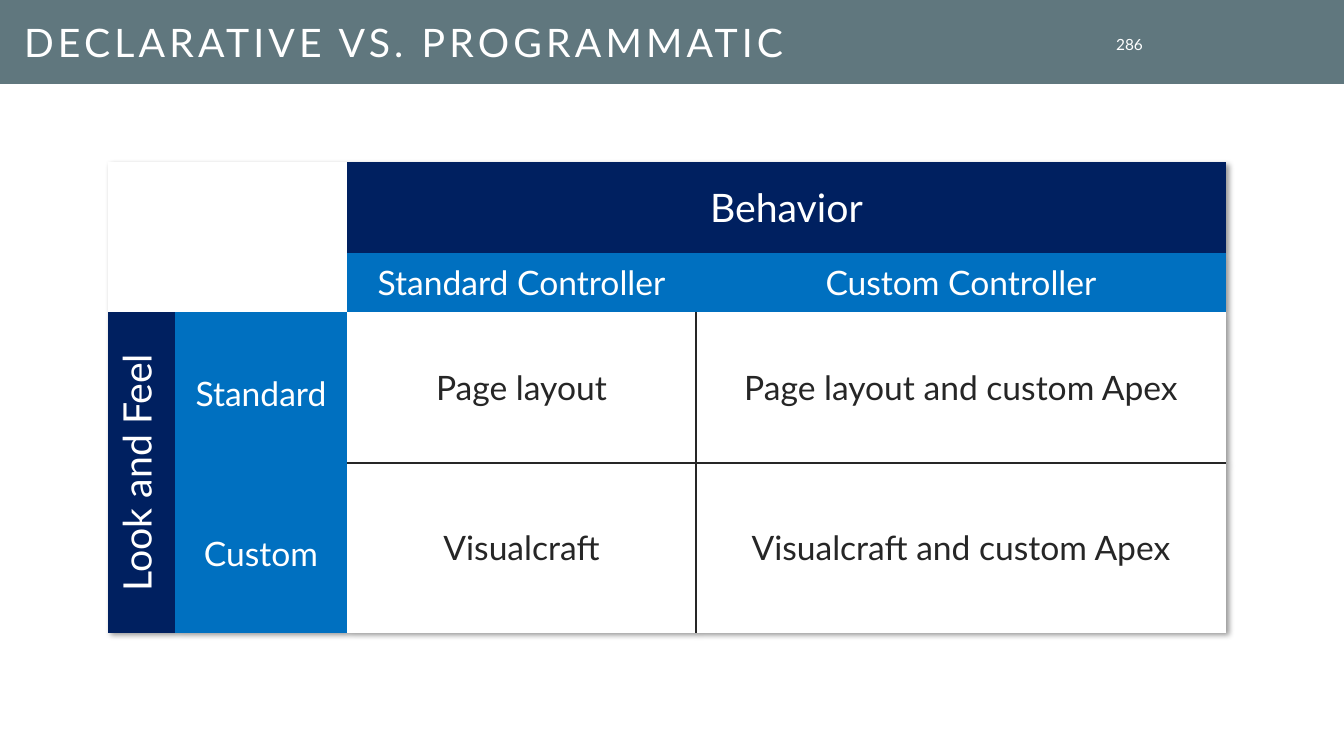
from lxml import etree
from pptx import Presentation
from pptx import util as u
from pptx.dml.color import RGBColor
from pptx.enum import shapes, text
from pptx.oxml import parse_xml
from pptx.oxml.ns import nsdecls, qn

PX = 914400 / 100.8
WHITE = RGBColor(0xFF, 0xFF, 0xFF)
SLATE = RGBColor(0x60, 0x77, 0x7E)
NAVY = RGBColor(0x00, 0x20, 0x60)
BLUE = RGBColor(0x00, 0x70, 0xC0)
INK = RGBColor(0x26, 0x26, 0x26)
NO_STYLE = "{2D5ABB26-0587-4C30-8999-92F81FD0307C}"


def px(*lengths):
    return [u.Emu(round(n * PX)) for n in lengths]


def format_text(p, size, color, align):
    p.alignment = align
    for r in p.runs:
        r.font.name = "Lato"
        r.font.size = u.Pt(size)
        r.font.color.rgb = color


prs = Presentation()
prs.slide_width, prs.slide_height = px(1344, 756)
s = prs.slides.add_slide(prs.slide_layouts[6])

banner = s.shapes.add_shape(shapes.MSO_SHAPE.RECTANGLE, *px(0, 0, 1344, 84))
banner.shadow.inherit = False
banner.fill.solid()
banner.fill.fore_color.rgb = SLATE
banner.line.fill.background()

LABELS = [
    ("DECLARATIVE VS. PROGRAMMATIC", (14, 0, 1086, 83), (15, 5), 28, text.PP_ALIGN.LEFT),
    ("286", (1100, 33, 53, 22), (0, 0), 11, text.PP_ALIGN.RIGHT),
]
for words, box, insets, size, align in LABELS:
    tf = s.shapes.add_textbox(*px(*box)).text_frame
    tf.word_wrap = True
    tf.vertical_anchor = text.MSO_ANCHOR.MIDDLE
    tf.margin_left, tf.margin_right = px(10, 10)
    tf.margin_top, tf.margin_bottom = px(*insets)
    tf.text = words
    p = tf.paragraphs[0]
    format_text(p, size, WHITE, align)
    if size == 28:
        p.line_spacing = 0.8
        p.runs[0].font._element.set("spc", "300")

COLS = [67, 172, 349, 530]
ROWS = [91, 59, 151, 12, 158]
table = s.shapes.add_table(5, 4, *px(108, 162, sum(COLS), sum(ROWS))).table
table.first_row = table.horz_banding = False
for column, width in zip(table.columns, px(*COLS)):
    column.width = width
for row, height in zip(table.rows, px(*ROWS)):
    row.height = height

tbl_pr = table._tbl.tblPr
tbl_pr.find(qn("a:tableStyleId")).text = NO_STYLE
tbl_pr.insert(0, parse_xml(
    f'<a:effectLst {nsdecls("a")}><a:outerShdw blurRad="50800" dist="38100" dir="2700000" '
    'algn="tl" rotWithShape="0"><a:srgbClr val="000000"><a:alpha val="40000"/></a:srgbClr>'
    '</a:outerShdw></a:effectLst>'))

for cell in table.iter_cells():
    cell.margin_left = cell.margin_right = cell.margin_top = cell.margin_bottom = 0
    cell.text_frame.paragraphs[0].font.size = u.Pt(1)

CELLS = [
    (0, 0, 2, 2, "", WHITE, 28),
    (0, 2, 1, 2, "Behavior", NAVY, 28),
    (1, 2, 1, 1, "Standard Controller", BLUE, 24),
    (1, 3, 1, 1, "Custom Controller", BLUE, 24),
    (2, 0, 3, 1, "Look and Feel", NAVY, 28),
    (2, 1, 2, 1, "Standard", BLUE, 24),
    (4, 1, 1, 1, "Custom", BLUE, 24),
    (2, 2, 1, 1, "Page layout", WHITE, 24),
    (2, 3, 1, 1, "Page layout and custom Apex", WHITE, 24),
    (3, 2, 2, 1, "Visualcraft", WHITE, 24),
    (3, 3, 2, 1, "Visualcraft and custom Apex", WHITE, 24),
]
for row, col, height, width, words, fill, size in CELLS:
    cell = table.cell(row, col)
    if height * width > 1:
        cell.merge(table.cell(row + height - 1, col + width - 1))
    cell.fill.solid()
    cell.fill.fore_color.rgb = fill
    cell.vertical_anchor = text.MSO_ANCHOR.MIDDLE
    if col < 2:
        cell.margin_left, cell.margin_right = px(5, 5)
        cell.margin_top, cell.margin_bottom = px(5, 5)
    if words:
        cell.text_frame.text = words
        color = INK if fill == WHITE else WHITE
        format_text(cell.text_frame.paragraphs[0], size, color, text.PP_ALIGN.CENTER)
    if words == "Look and Feel":
        cell._tc.get_or_add_tcPr().set("vert", "vert270")

for row in (2, 3, 4):
    for col, inner_side in ((2, "lnR"), (3, "lnL")):
        sides = [inner_side] + {2: ["lnB"], 3: ["lnT"], 4: []}[row]
        tc_pr = table.cell(row, col)._tc.get_or_add_tcPr()
        for i, side in enumerate(sides):
            ln = etree.Element(qn(f"a:{side}"), w=str(u.Pt(1)))
            fill = etree.SubElement(ln, qn("a:solidFill"))
            etree.SubElement(fill, qn("a:srgbClr"), val=str(INK))
            tc_pr.insert(i, ln)

prs.save("out.pptx")
